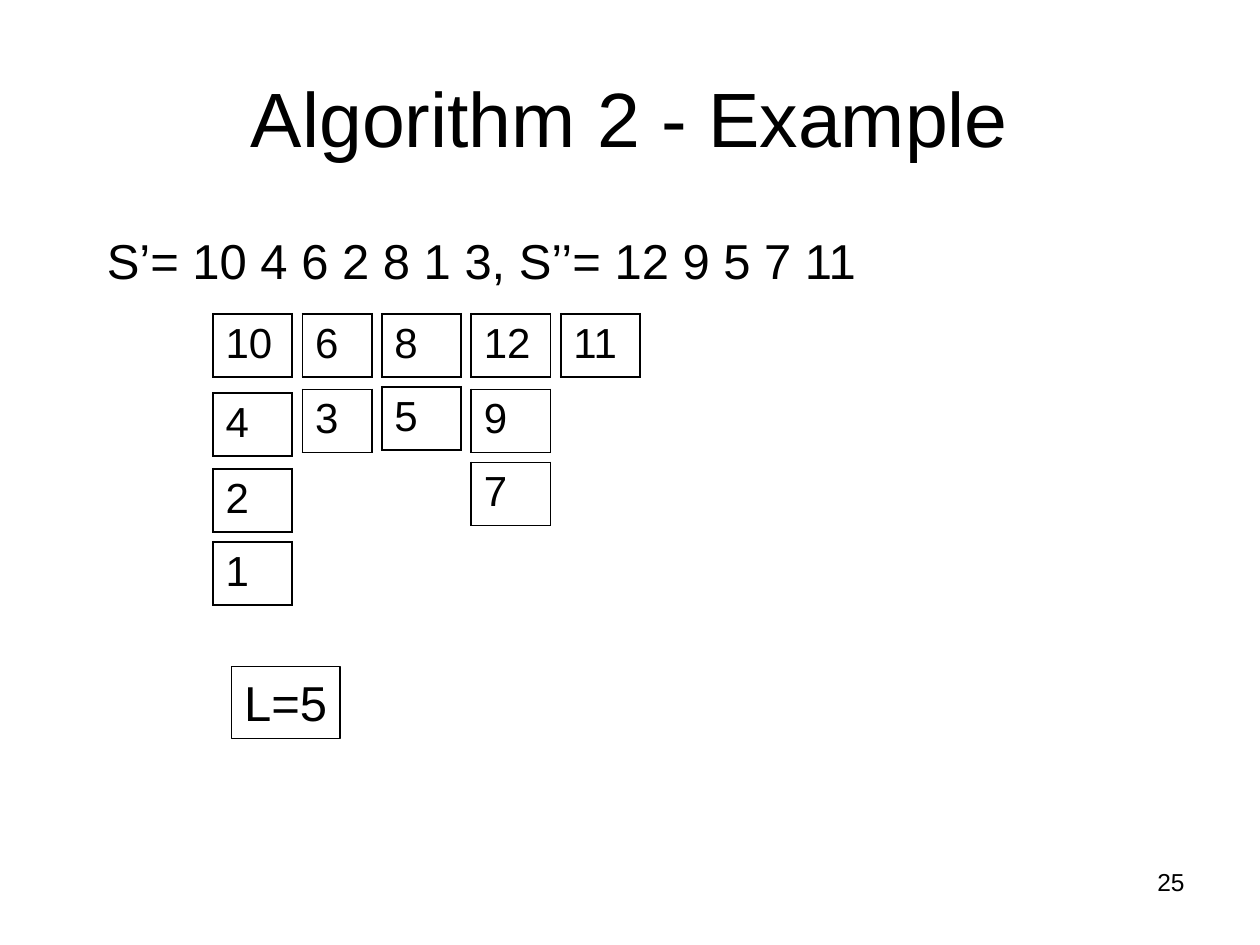
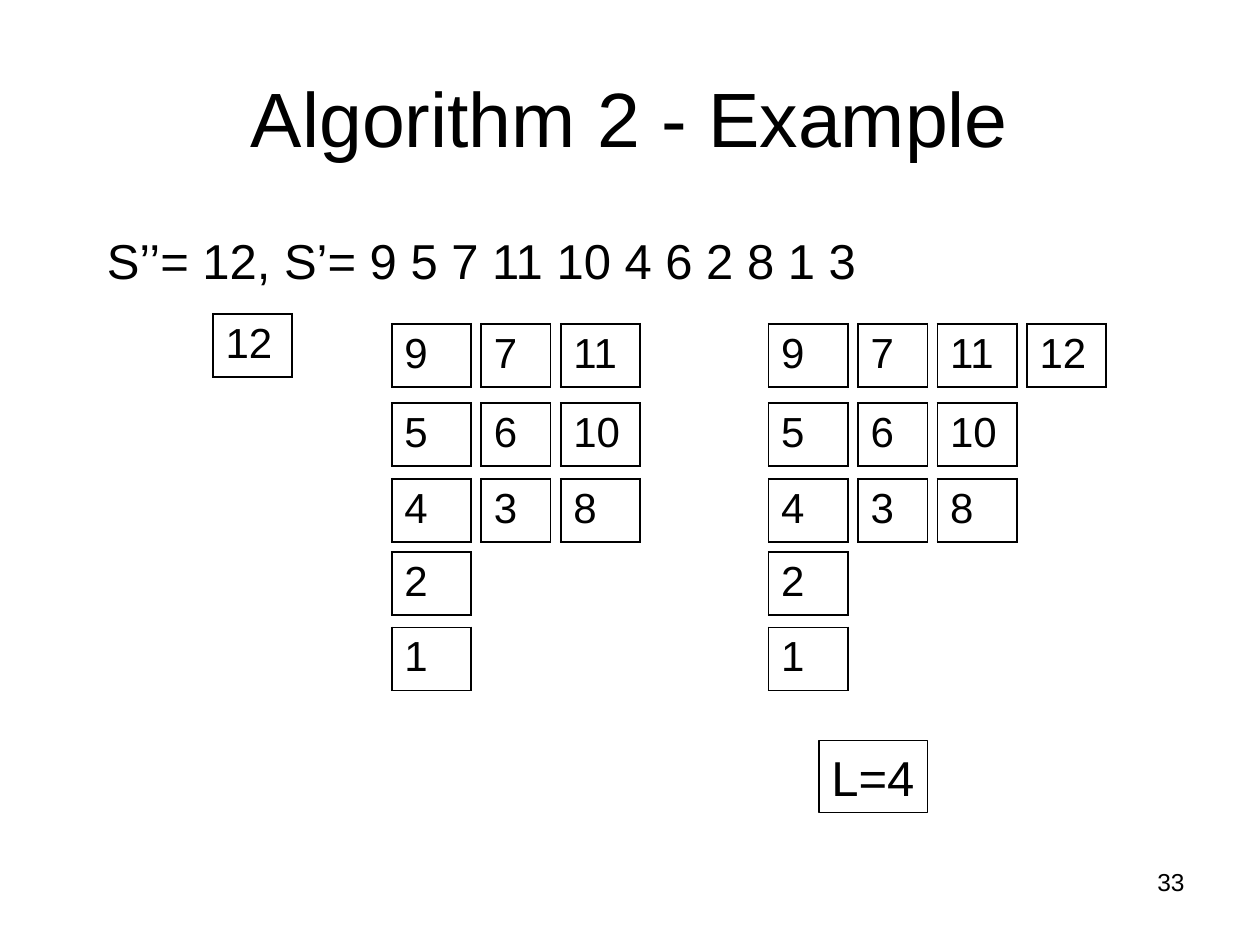
from itertools import accumulate

from lxml.etree import SubElement
from pptx import Presentation
from pptx.dml.color import RGBColor
from pptx.enum.shapes import MSO_SHAPE
from pptx.enum.text import MSO_ANCHOR, PP_ALIGN
from pptx.oxml.ns import qn
from pptx.util import Pt

BLACK = RGBColor(0x00, 0x00, 0x00)
FONT = "Arial"

# Number cards: the second pile of each group is narrower
CARD_W, NARROW_W, CARD_H, GAP = 45.36, 39.6, 36, 5.76
STEPS = [45.36, 43.2, 41.76, 43.2]  # vertical distance from card to card
CARD_LINE = 1.08

# Text formats shared by the slides
TITLE = dict(size=44, align=PP_ALIGN.CENTER, anchor=MSO_ANCHOR.MIDDLE)
BODY = dict(size=28, align=PP_ALIGN.LEFT, anchor=MSO_ANCHOR.TOP)
CARD = dict(size=24, align=PP_ALIGN.LEFT, anchor=MSO_ANCHOR.TOP)
NUMBER = dict(size=14, align=PP_ALIGN.RIGHT, anchor=MSO_ANCHOR.TOP)

# Each group: left, top, piles; each pile: its cards and its first step
PILES = [([9, 5, 4, 2, 1], 0), ([7, 6, 3], 0), ([11, 10, 8], 0)]
SLIDES = [
    dict(
        sequence="S’= 10 4 6 2 8 1 3, S’’= 12 9 5 7 11",
        groups=[(121.68, 179.28, [([10, 4, 2, 1], 0), ([6, 3], 1), ([8, 5], 2),
                                  ([12, 9, 7], 1), ([11], 0)])],
        result="L=5", result_at=(132.48, 380.88), number="25",
    ),
    dict(
        sequence="S’’= 12, S’= 9 5 7 11 10 4 6 2 8 1 3",
        groups=[(121.68, 179.28, [([12], 0)]),
                (223.92, 185.04, PILES),
                (439.2, 185.04, PILES + [([12], 0)])],
        result="L=4", result_at=(468, 423.36), number="33",
    ),
]


def write(tf, text, fmt):
    p = tf.paragraphs[0]
    p.alignment = fmt["align"]
    r = p.add_run()
    r.text = text
    for name, value in dict(name=FONT, size=Pt(fmt["size"]), bold=False).items():
        setattr(r.font, name, value)
    r.font.color.rgb = BLACK


def add_card(s, left, top, width, text):
    table = s.shapes.add_table(1, 1, Pt(left), Pt(top), Pt(width), Pt(CARD_H)).table
    table.first_row = table.horz_banding = False
    cell = table.cell(0, 0)
    for side in ("left", "right", "top", "bottom"):
        setattr(cell, f"margin_{side}", Pt(7.2 if side in ("left", "right") else 3.6))
    cell.vertical_anchor = CARD["anchor"]
    write(cell.text_frame, text, CARD)
    # Borders come before the fill in the cell properties
    tcPr = cell._tc.get_or_add_tcPr()
    for side in ("lnL", "lnR", "lnT", "lnB"):
        ln = SubElement(tcPr, qn(f"a:{side}"), w=str(Pt(CARD_LINE)))
        fill = SubElement(ln, qn("a:solidFill"))
        SubElement(fill, qn("a:srgbClr"), val=str(BLACK))
    cell.fill.background()


prs = Presentation()
prs.slide_width, prs.slide_height = Pt(720), Pt(540)

for content in SLIDES:
    s = prs.slides.add_slide(prs.slide_layouts[6])

    # Title, sequence and slide number
    for text, box, fmt in [
        ("Algorithm 2 - Example", (36, 21.6, 648, 90), TITLE),
        (content["sequence"], (54, 128.16, 487.44, 41.04), BODY),
        (content["number"], (516.24, 491.76, 167.76, 37.44), NUMBER),
    ]:
        tf = s.shapes.add_textbox(*map(Pt, box)).text_frame
        tf.word_wrap = True
        tf.vertical_anchor = fmt["anchor"]
        write(tf, text, fmt)

    # Piles of cards
    for left, top, piles in content["groups"]:
        x = left
        for i, (cards, first) in enumerate(piles):
            width = NARROW_W if i == 1 else CARD_W
            for value, y in zip(cards, accumulate(STEPS[first:], initial=top)):
                add_card(s, x, y, width, str(value))
            x += width + GAP

    # Result
    sp = s.shapes.add_shape(MSO_SHAPE.RECTANGLE, *map(Pt, content["result_at"]),
                            Pt(61.92), Pt(41.04))
    sp.shadow.inherit = False
    sp.fill.background()
    sp.line.color.rgb = BLACK
    sp.line.width = Pt(0.75)
    sp.text_frame.word_wrap = False
    sp.text_frame.vertical_anchor = BODY["anchor"]
    write(sp.text_frame, content["result"], BODY)

prs.save("out.pptx")
